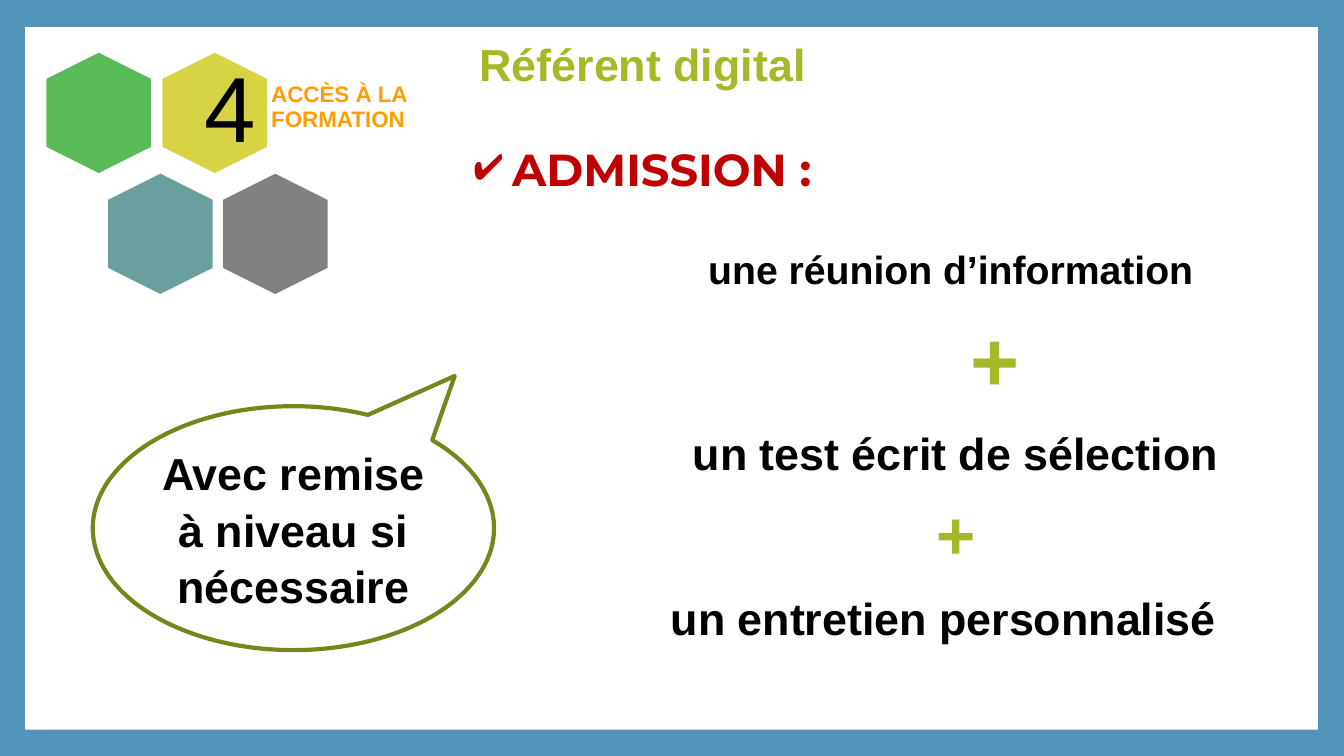
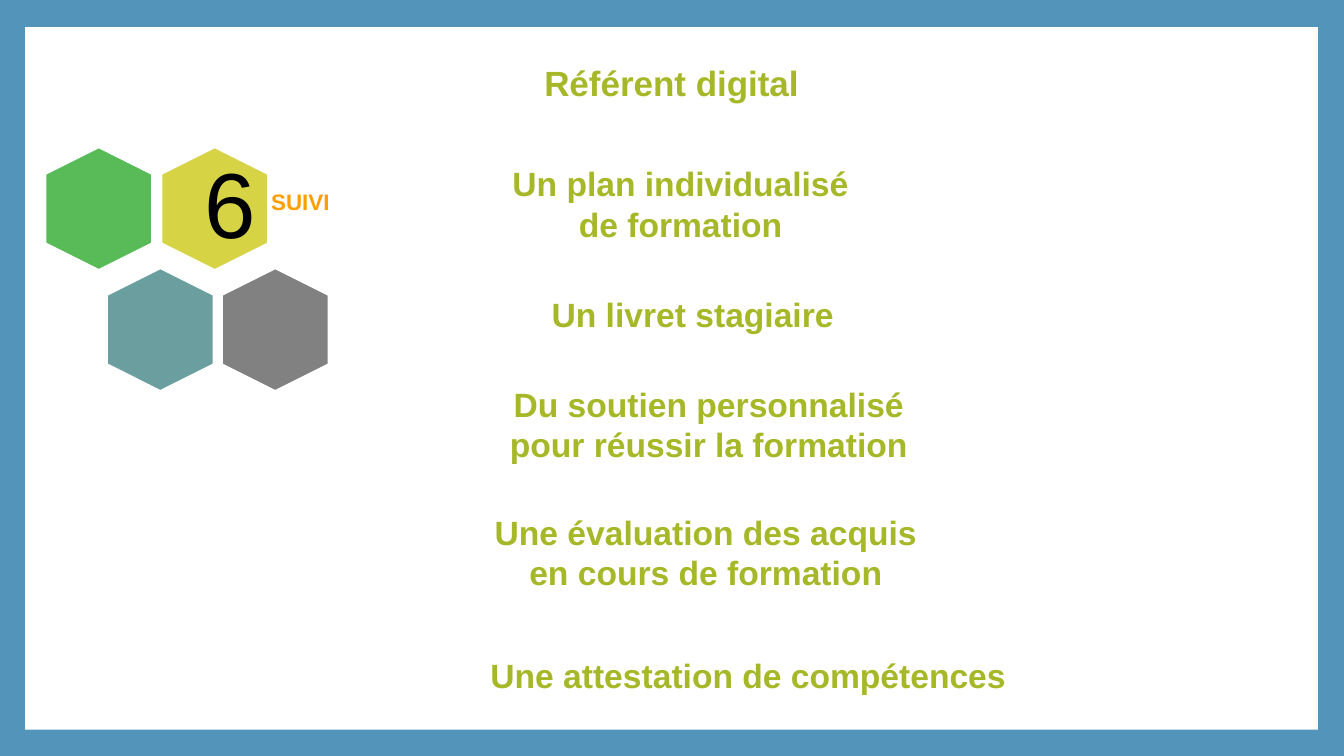
from lxml import etree
from pptx import Presentation
from pptx import util as u
from pptx.dml.color import RGBColor
from pptx.enum import shapes, text
from pptx.oxml.ns import qn

BLUE, WHITE, BLACK = "5294BA", "FFFFFF", "000000"
LIME, OLIVE, ORANGE, RED = "A6B727", "79851C", "FE9E00", "C00000"
GREEN, YELLOW, TEAL, GREY = "58BB57", "D6D445", "6B9F9F", "818181"
CENTER, LEFT = text.PP_ALIGN.CENTER, text.PP_ALIGN.LEFT


def rgb(code):
    return RGBColor.from_string(code)


def write(tf, line, first=True, size=24, color=LIME, bold=True, font="Arial",
          align=CENTER, spacing=None, before=None, bullet=None):
    """Put one formatted paragraph in a text frame."""
    p = tf.paragraphs[0] if first else tf.add_paragraph()
    if bullet:
        pPr = p._p.get_or_add_pPr()
        pPr.set("marL", str(u.Inches(0.38)))
        pPr.set("indent", str(-u.Inches(0.38)))
        tint = etree.SubElement(pPr, qn("a:buClr"))
        etree.SubElement(tint, qn("a:srgbClr"), val=color)
        etree.SubElement(pPr, qn("a:buChar"), char=bullet)
    p.alignment = align
    if spacing:
        p.line_spacing = spacing
    if before:
        p.space_before = u.Pt(before)
    r = p.add_run()
    r.text = line
    r.font.name, r.font.size, r.font.bold = font, u.Pt(size), bold
    r.font.color.rgb = rgb(color)


class Deck:
    def __init__(self):
        self.prs = Presentation()
        self.prs.slide_width = u.Inches(13.33)
        self.prs.slide_height = u.Inches(7.5)
        fill = self.prs.slide_master.background.fill
        fill.solid()
        fill.fore_color.rgb = rgb(BLUE)

    def new_slide(self):
        """Start a slide with the white panel inside the blue frame."""
        self.s = self.prs.slides.add_slide(self.prs.slide_layouts[6])
        self.shape(shapes.MSO_SHAPE.RECTANGLE, 0.25, 0.27, 12.82, 6.97, WHITE)

    def shape(self, kind, x, y, w, h, fill, line=None, width=1.5):
        sp = self.s.shapes.add_shape(kind, *map(u.Inches, (x, y, w, h)))
        sp.shadow.inherit = False
        sp.fill.solid()
        sp.fill.fore_color.rgb = rgb(fill)
        if line:
            sp.line.color.rgb = rgb(line)
            sp.line.width = u.Pt(width)
        else:
            sp.line.fill.background()
        return sp

    def frame(self, x, y, w, h, anchor=text.MSO_ANCHOR.MIDDLE):
        """Add an empty text box without margins."""
        tf = self.s.shapes.add_textbox(*map(u.Inches, (x, y, w, h))).text_frame
        tf.word_wrap = True
        tf.vertical_anchor = anchor
        tf.margin_left = tf.margin_right = tf.margin_top = tf.margin_bottom = 0
        return tf

    def centered(self, cx, cy, *lines, **fmt):
        """Write lines centred on the point cx, cy."""
        w, h = 6.6, 0.8
        tf = self.frame(cx - w / 2, cy - h / 2, w, h)
        for i, line in enumerate(lines):
            write(tf, line, first=i == 0, **fmt)

    def section(self, top, number, label):
        """Draw the four hexagons with the section number and name."""
        for x, dy, color in ((0.37, 0, GREEN), (1.52, 0, YELLOW),
                             (0.98, 1.2, TEAL), (2.12, 1.2, GREY)):
            sp = self.shape(shapes.MSO_SHAPE.HEXAGON, x, top + dy, 1.22, 1.06,
                            color, WHITE)
            sp.rotation = 90
        write(self.frame(1.98, top + 0.11, 0.6, 0.84), number, size=66,
              color=BLACK, bold=False, spacing=0.9)
        write(self.frame(2.69, top - 0.29, 1.45, 1.54), label, size=16,
              color=ORANGE, align=LEFT, spacing=0.9)

    def callout(self, x, y, w, h, line):
        sp = self.shape(shapes.MSO_SHAPE.OVAL_CALLOUT, x, y, w, h, WHITE, OLIVE, 3)
        sp.adjustments[0], sp.adjustments[1] = 0.402, -0.624
        tf = sp.text_frame
        tf.word_wrap = True
        tf.vertical_anchor = text.MSO_ANCHOR.MIDDLE
        write(tf, line, size=32, color=BLACK, spacing=1.05)


def admission(deck):
    deck.new_slide()
    deck.section(0.59, "4", "ACCÈS À LA FORMATION")
    tf = deck.frame(2.12, 0.36, 8.51, 2.13, text.MSO_ANCHOR.TOP)
    write(tf, "Référent digital", size=32)
    write(tf, "ADMISSION :", first=False, size=32, color=RED,
          font="Montserrat", before=37, bullet="✔")
    for cx, cy, line, size, color in (
            (9.43, 2.67, "une réunion d’information", 28, BLACK),
            (9.87, 3.55, "+", 60, LIME),
            (9.48, 4.49, "un test écrit de sélection", 32, BLACK),
            (9.48, 5.28, "+", 48, LIME),
            (9.36, 6.13, "un entretien personnalisé", 32, BLACK)):
        deck.centered(cx, cy, line, size=size, color=color)
    deck.callout(0.92, 4.03, 3.98, 2.42, "Avec remise à niveau si nécessaire")


def follow_up(deck):
    deck.new_slide()
    deck.section(1.54, "6", "SUIVI")
    deck.centered(6.66, 0.82, "Référent digital", size=25)
    for cx, cy, *lines in (
            (6.75, 2.02, "Un plan individualisé", "de formation"),
            (6.87, 3.12, "Un livret stagiaire"),
            (7.03, 4.21, "Du soutien personnalisé", "pour réussir la formation"),
            (7.0, 5.48, "Une évaluation des acquis", "en cours de formation"),
            (7.42, 6.7, "Une attestation de compétences")):
        deck.centered(cx, cy, *lines)


def main():
    deck = Deck()
    admission(deck)
    follow_up(deck)
    deck.prs.save("out.pptx")


if __name__ == "__main__":
    main()
